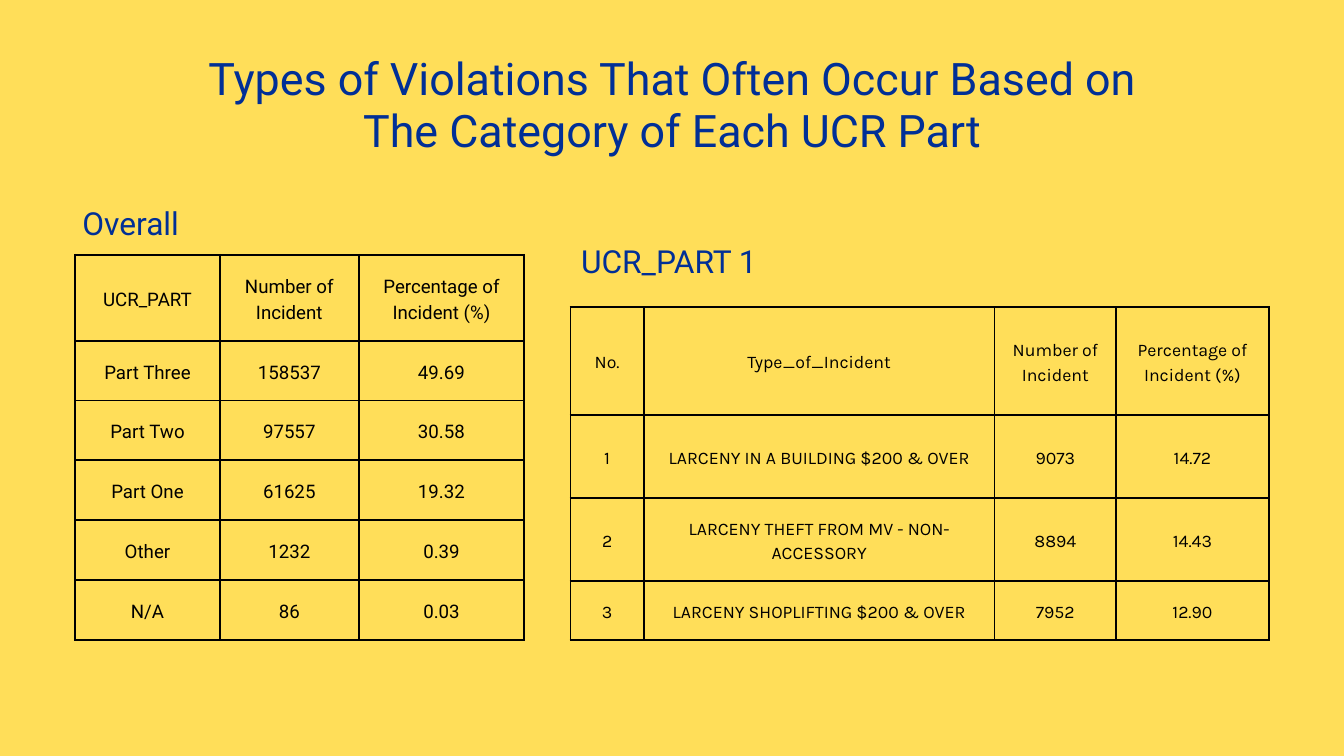
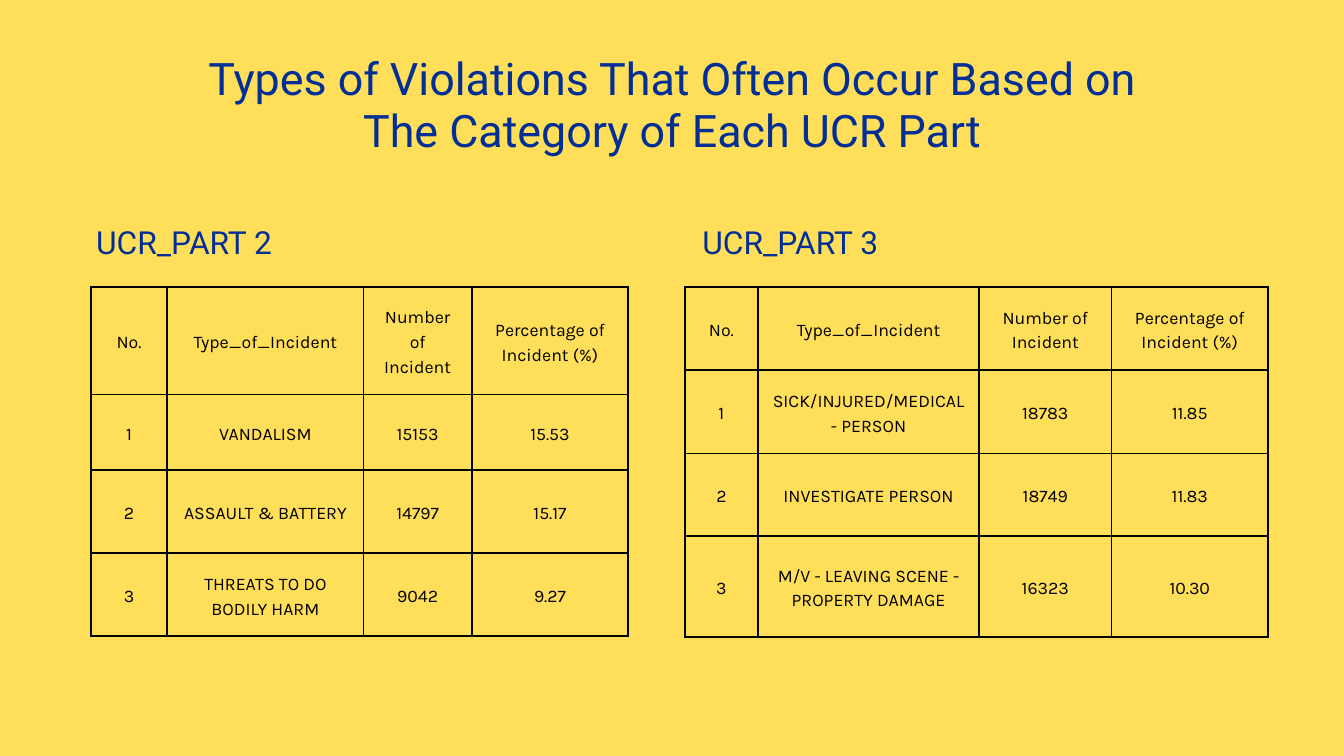
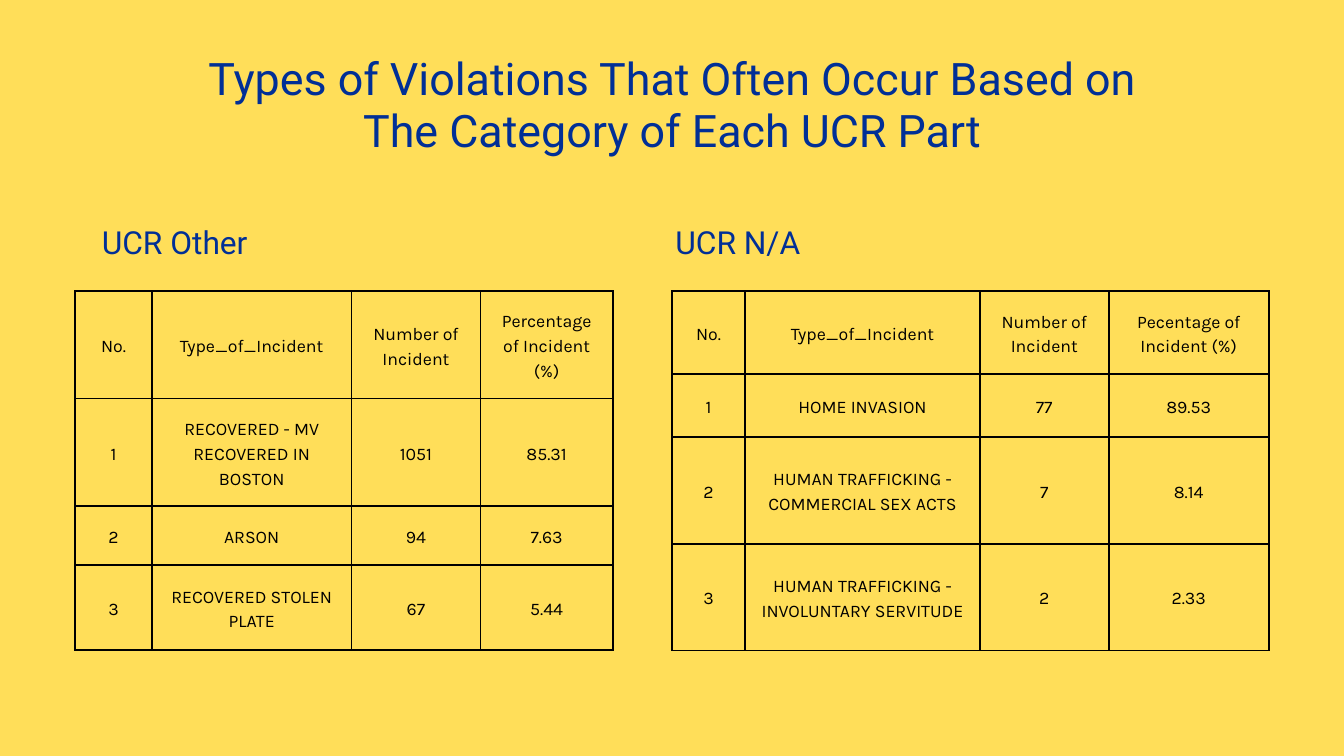
from lxml import etree
from pptx import Presentation, util as u
from pptx.dml.color import RGBColor
from pptx.enum import text as t
from pptx.oxml.ns import qn

# Shared look
BACK, BLUE, BLACK = "FFDE59", "012F96", "000000"
TITLE = "Types of Violations That Often Occur Based on The Category of Each UCR Part"
TITLE_AT = (2.5, 0.78, 15.01, 1.54)
HEAD_H, PAD, RULE = 0.63, 0.21, 2.25
STYLES = {  # font, size, line spacing, colour
    "title": ("Roboto", 48, 55.7, BLUE),
    "head": ("Roboto", 34, 47.6, BLUE),
    "sum": ("Roboto", 20, 28, BLACK),
    "list": ("Karla", 19, 26.6, BLACK),
}

# Content
NUM, PCT = "Number of Incident", "Percentage of Incident (%)"
TOP = ("No.", "Type_of_Incident", NUM, PCT)
SLIDES = [
    [
        dict(head="Overall", left=1.12, head_top=2.94, head_w=1.65, top=3.79, style="sum",
             cols=(2.15, 2.07, 2.46), rows=(1.28,) + (0.89,) * 5,
             cells=[("UCR_PART", NUM, PCT),
                    ("Part Three", "158537", "49.69"),
                    ("Part Two", "97557", "30.58"),
                    ("Part One", "61625", "19.32"),
                    ("Other", "1232", "0.39"),
                    ("N/A", "86", "0.03")]),
        dict(head="UCR_PART 1", left=8.49, head_top=3.5, head_w=2.93, top=4.57, style="list",
             cols=(1.09, 5.22, 1.81, 2.27), rows=(1.6, 1.24, 1.24, 0.87),
             cells=[TOP,
                    ("1", "LARCENY IN A BUILDING $200 & OVER", "9073", "14.72"),
                    ("2", "LARCENY THEFT FROM MV - NON-ACCESSORY", "8894", "14.43"),
                    ("3", "LARCENY SHOPLIFTING $200 & OVER", "7952", "12.90")]),
    ],
    [
        dict(head="UCR_PART 2", left=1.35, head_top=3.22, head_w=2.78, top=4.27, style="list",
             cols=(1.14, 2.92, 1.61, 2.33), rows=(1.6, 1.12, 1.24, 1.24),
             cells=[TOP,
                    ("1", "VANDALISM", "15153", "15.53"),
                    ("2", "ASSAULT & BATTERY", "14797", "15.17"),
                    ("3", "THREATS TO DO BODILY HARM", "9042", "9.27")]),
        dict(head="UCR_PART 3", left=10.19, head_top=3.22, head_w=3.14, top=4.27, style="list",
             cols=(1.09, 3.29, 1.97, 2.33), rows=(1.24, 1.24, 1.23, 1.5),
             cells=[TOP,
                    ("1", "SICK/INJURED/MEDICAL - PERSON", "18783", "11.85"),
                    ("2", "INVESTIGATE PERSON", "18749", "11.83"),
                    ("3", "M/V - LEAVING SCENE - PROPERTY DAMAGE", "16323", "10.30")]),
    ],
    [
        dict(head="UCR Other", left=1.12, head_top=3.22, head_w=2.96, top=4.33, style="list",
             cols=(1.14, 2.97, 1.92, 1.97), rows=(1.6, 1.6, 0.88, 1.26),
             cells=[TOP,
                    ("1", "RECOVERED - MV RECOVERED IN BOSTON", "1051", "85.31"),
                    ("2", "ARSON", "94", "7.63"),
                    ("3", "RECOVERED STOLEN PLATE", "67", "5.44")]),
        dict(head="UCR N/A", left=10, head_top=3.22, head_w=1.96, top=4.33, style="list",
             cols=(1.09, 3.49, 1.92, 2.38), rows=(1.24, 0.93, 1.59, 1.59),
             cells=[TOP[:3] + ("Pecentage of Incident (%)",),
                    ("1", "HOME INVASION", "77", "89.53"),
                    ("2", "HUMAN TRAFFICKING - COMMERCIAL SEX ACTS", "7", "8.14"),
                    ("3", "HUMAN TRAFFICKING - INVOLUNTARY SERVITUDE", "2", "2.33")]),
    ],
]


def color(code):
    return RGBColor.from_string(code)


def assign(obj, vals):
    for key, val in vals.items():
        setattr(obj, key, val)


def margins(size):
    return {"margin_" + side: u.Inches(size) for side in ("left", "top", "right", "bottom")}


def write(frame, words, style):
    name, size, space, ink = STYLES[style]
    frame.text = words
    para = frame.paragraphs[0]
    assign(para, dict(alignment=t.PP_ALIGN.CENTER, line_spacing=u.Pt(space)))
    font = para.runs[0].font
    assign(font, dict(name=name, size=u.Pt(size), bold=False))
    font.color.rgb = color(ink)


def label(shape, words, style):
    assign(shape.text_frame, dict(
        margins(0), word_wrap=True, vertical_anchor=t.MSO_ANCHOR.TOP,
        auto_size=t.MSO_AUTO_SIZE.SHAPE_TO_FIT_TEXT))
    write(shape.text_frame, words, style)


def border(cell):
    props = cell._tc.get_or_add_tcPr()
    for spot, side in enumerate("LRTB"):
        line = etree.Element(qn("a:ln" + side), w=str(u.Pt(RULE)))
        fill = etree.SubElement(line, qn("a:solidFill"))
        etree.SubElement(fill, qn("a:srgbClr"), val=BLACK)
        props.insert(spot, line)


def add_grid(slide, part):
    cols, rows = part["cols"], part["rows"]
    place = map(u.Inches, (part["left"], part["top"], sum(cols), sum(rows)))
    grid = slide.shapes.add_table(len(rows), len(cols), *place).table
    assign(grid, dict(first_row=False, horz_banding=False))
    for col, width in zip(grid.columns, cols):
        col.width = u.Inches(width)
    for row, height, words in zip(grid.rows, rows, part["cells"]):
        row.height = u.Inches(height)
        for cell, word in zip(row.cells, words):
            assign(cell, dict(margins(PAD), vertical_anchor=t.MSO_ANCHOR.MIDDLE))
            cell.fill.background()
            border(cell)
            write(cell.text_frame, word, part["style"])


def main():
    prs = Presentation()
    assign(prs, dict(slide_width=u.Inches(20), slide_height=u.Inches(11.25)))
    back = prs.slide_master.background.fill
    back.solid()
    back.fore_color.rgb = color(BACK)

    for parts in SLIDES:
        slide = prs.slides.add_slide(prs.slide_layouts[5])
        # Title
        title = slide.shapes.title
        assign(title, dict(zip(("left", "top", "width", "height"), map(u.Inches, TITLE_AT))))
        label(title, TITLE, "title")
        # Tables with their headings
        for part in parts:
            add_grid(slide, part)
            place = (part["left"], part["head_top"], part["head_w"], HEAD_H)
            label(slide.shapes.add_textbox(*map(u.Inches, place)), part["head"], "head")

    prs.save("out.pptx")


if __name__ == "__main__":
    main()
